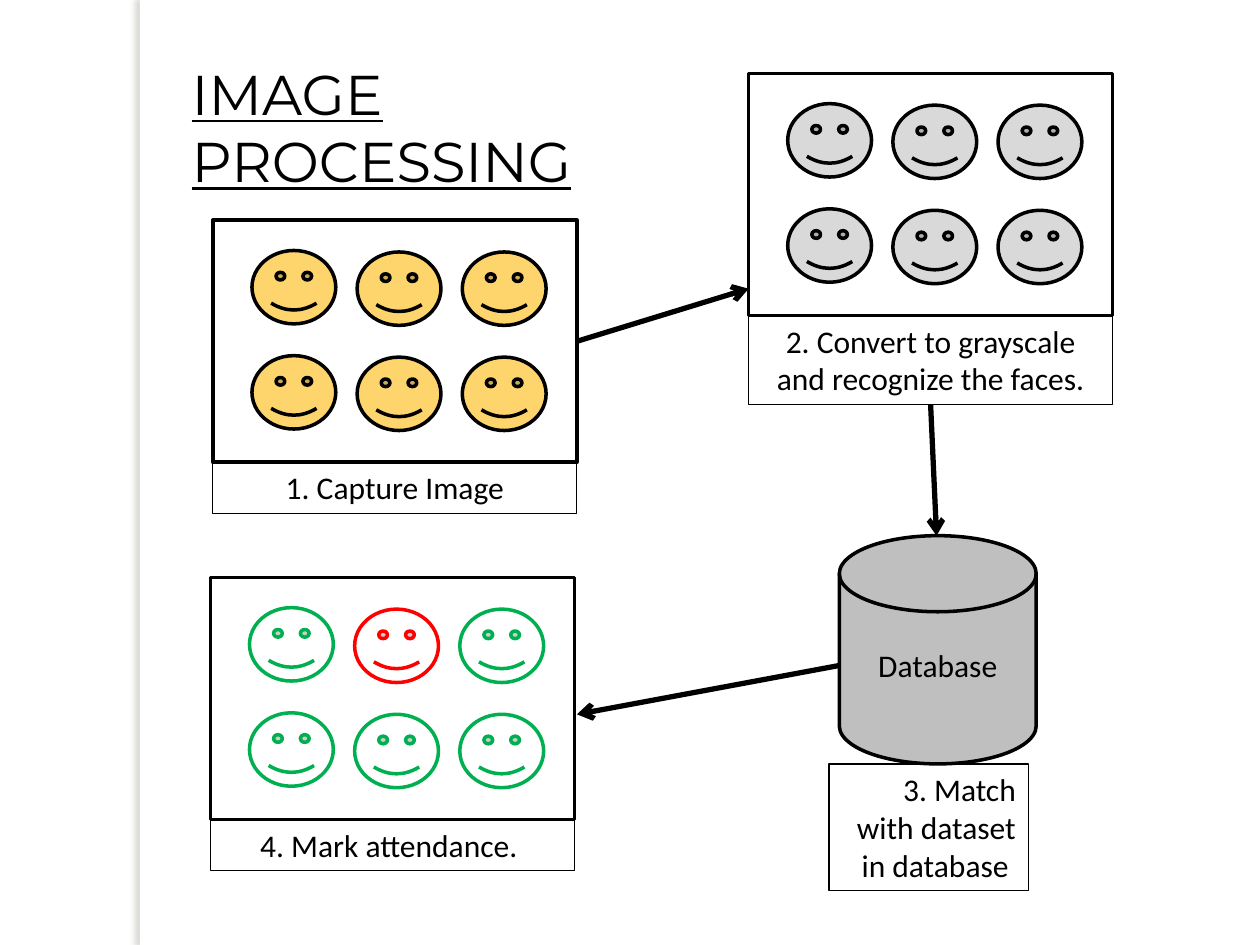
from dataclasses import dataclass
from typing import Optional

from lxml.etree import SubElement
from pptx import Presentation
from pptx.dml.color import RGBColor
from pptx.enum.shapes import MSO_CONNECTOR as Connector, MSO_SHAPE as Shape
from pptx.enum.text import MSO_ANCHOR as Anchor, MSO_AUTO_SIZE as AutoSize, PP_ALIGN as Align
from pptx.oxml.ns import qn
from pptx.util import Cm, Pt

COLORS = {
    "black": "000000", "white": "FFFFFF", "yellow": "FED46C", "pale": "D9D9D9",
    "gray": "BFBFBF", "green": "00B050", "red": "FF0000", "shadow": "736F63",
}
FRAME_WIDTH, FRAME_HEIGHT = 7.34, 4.88
FACE_WIDTH, FACE_HEIGHT, FACE_PITCH = 1.69, 1.48, 2.12
FACE_LEFT, FACE_TOP, FIRST_COLUMN_LIFT = 0.79, 0.64, 0.03
LINE_HEIGHT = 1.03
TOP, LEFT, BOTTOM, RIGHT = range(4)


@dataclass(frozen=True)
class Panel:
    left: float
    top: float
    caption: str
    caption_height: float
    face_fill: str
    face_lines: tuple


@dataclass(frozen=True)
class Arrow:
    start: tuple
    end: tuple
    source: Optional[object] = None
    side: int = RIGHT


PANELS = [
    Panel(4.29, 4.44, "1. Capture Image", LINE_HEIGHT, "yellow", ("black",) * 6),
    Panel(15.09, 1.48, "2. Convert to grayscale and recognize the faces.", 1.8,
          "pale", ("black",) * 6),
    Panel(4.24, 11.64, "4. Mark attendance. ", LINE_HEIGHT, "white",
          ("green", "red") + ("green",) * 4),
]


def color(name: str) -> RGBColor:
    return RGBColor.from_string(COLORS[name])


def add_box(page, kind, left: float, top: float, width: float, height: float,
            fill: Optional[str] = None, line: Optional[str] = "black", weight: float = 2):
    box = page.shapes.add_shape(kind, Cm(left), Cm(top), Cm(width), Cm(height))
    box.shadow.inherit = False
    if fill:
        box.fill.solid()
        box.fill.fore_color.rgb = color(fill)
    else:
        box.fill.background()
    if line:
        box.line.color.rgb = color(line)
        box.line.width = Pt(weight)
    else:
        box.line.fill.background()
    return box


def write(box, text: str, align=Align.CENTER, size: int = 18, font: str = "Calibri",
          underline: bool = False) -> None:
    frame = box.text_frame
    frame.word_wrap = True
    frame.auto_size = AutoSize.NONE
    frame.vertical_anchor = Anchor.TOP
    para = frame.paragraphs[0]
    para.alignment = align
    span = para.add_run()
    span.text = text
    span.font.size = Pt(size)
    span.font.name = font
    span.font.underline = underline
    span.font.color.rgb = color("black")


def add_caption(page, left: float, top: float, width: float, height: float,
                text: str, align=Align.CENTER):
    box = add_box(page, Shape.RECTANGLE, left, top, width, height, weight=0.75)
    write(box, text, align)
    return box


def add_panel(page, panel: Panel):
    """Draw a frame with two rows of three faces; return the frame and its caption."""
    frame = add_box(page, Shape.RECTANGLE, panel.left, panel.top, FRAME_WIDTH, FRAME_HEIGHT)
    for index, line in enumerate(panel.face_lines):
        row, column = divmod(index, 3)
        lift = FIRST_COLUMN_LIFT if column == 0 else 0
        add_box(page, Shape.SMILEY_FACE,
                panel.left + FACE_LEFT + column * FACE_PITCH,
                panel.top + FACE_TOP + row * FACE_PITCH - lift,
                FACE_WIDTH, FACE_HEIGHT, panel.face_fill, line)
    caption = add_caption(page, panel.left, panel.top + FRAME_HEIGHT, FRAME_WIDTH,
                          panel.caption_height, panel.caption)
    return frame, caption


def add_arrow(page, arrow: Arrow) -> None:
    points = [Cm(value) for value in arrow.start + arrow.end]
    link = page.shapes.add_connector(Connector.STRAIGHT, *points)
    if arrow.source is not None:
        link.begin_connect(arrow.source, arrow.side)
    link.line.color.rgb = color("black")
    link.line.width = Pt(3)
    SubElement(link.line._get_or_add_ln(), qn("a:tailEnd"), type="arrow")
    SubElement(link._element.spPr, qn("a:effectLst"))


def add_side_band(page) -> None:
    """Draw the white strip that casts a soft shadow to its left."""
    band = add_box(page, Shape.RECTANGLE, 2.82, 0, 0.2, 19.05, "white", None)
    effects = band._element.spPr.find(qn("a:effectLst"))
    shadow = SubElement(effects, qn("a:outerShdw"), blurRad=str(Pt(3)), dist=str(Pt(3)),
                        dir=str(180 * 60000), algn="r", rotWithShape="0")
    tint = SubElement(shadow, qn("a:srgbClr"), val=COLORS["shadow"])
    SubElement(tint, qn("a:alpha"), val="25000")


def main() -> None:
    deck = Presentation()
    deck.slide_width, deck.slide_height = Cm(25.4), Cm(19.05)
    page = deck.slides.add_slide(deck.slide_layouts[5])
    add_side_band(page)

    title = page.shapes.title
    title.left, title.top, title.width, title.height = Cm(3.61), Cm(1.07), Cm(9.09), Cm(3)
    write(title, "IMAGE PROCESSING", Align.LEFT, 32, "Montserrat", underline=True)

    capture, grayscale, _ = [add_panel(page, panel) for panel in PANELS]

    add_box(page, Shape.FLOWCHART_MAGNETIC_DISK, 16.92, 10.8, 3.97, 4.6, "gray")
    label = page.shapes.add_textbox(Cm(16.92), Cm(12.9), Cm(3.97), Cm(LINE_HEIGHT))
    write(label, "Database")
    add_caption(page, 16.71, 15.4, 4.02, 2.56, "3. Match with dataset in database ", Align.RIGHT)

    for arrow in (
        Arrow((11.63, 6.88), (15.09, 5.82), capture[0], RIGHT),
        Arrow((18.76, 8.16), (18.88, 10.8), grayscale[1], BOTTOM),
        Arrow((16.92, 13.41), (11.63, 14.4), label, LEFT),
    ):
        add_arrow(page, arrow)

    deck.save("out.pptx")


if __name__ == "__main__":
    main()
